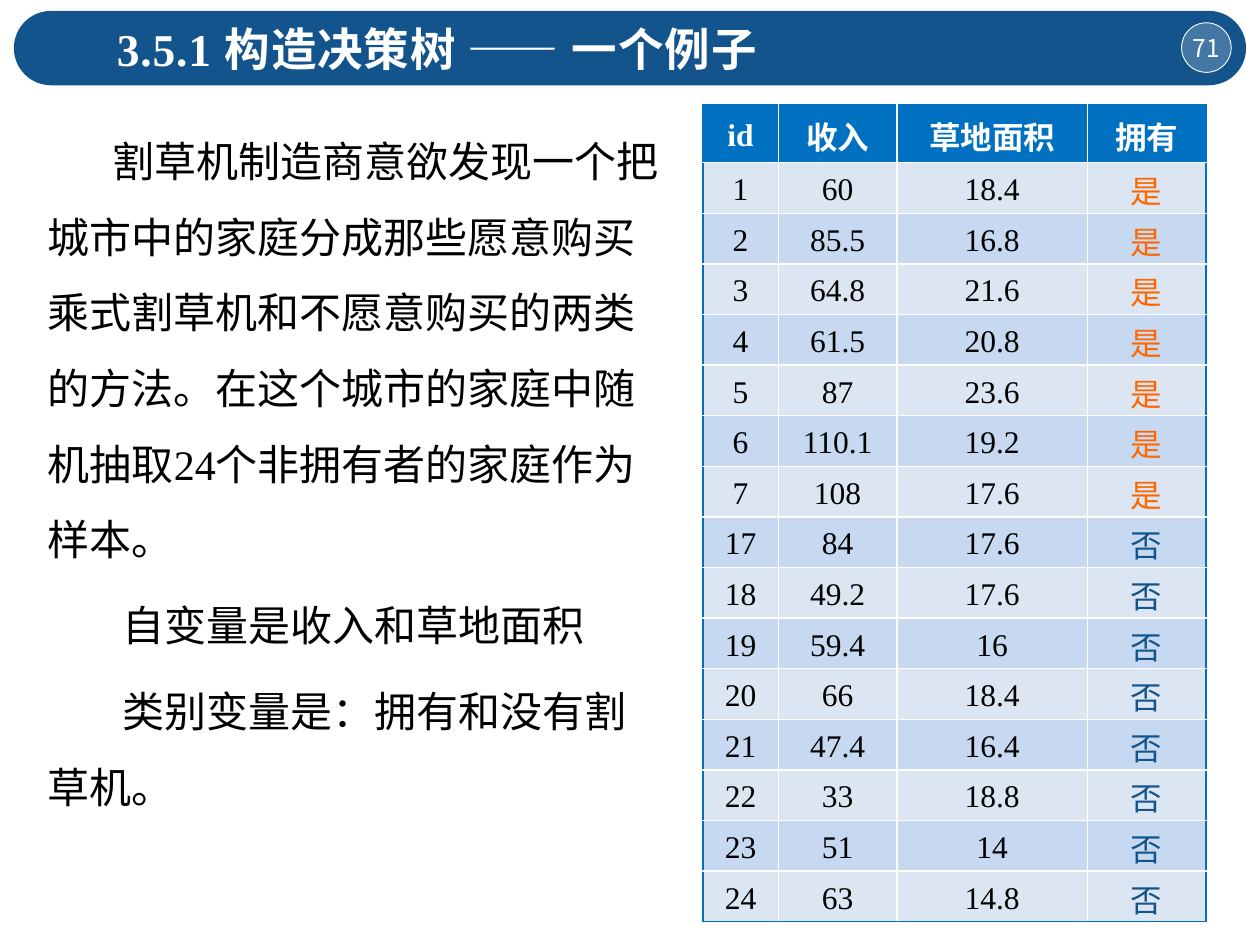
"""Build the decision tree example slide: header bar, problem text and sample table."""
from lxml import etree
from pptx import Presentation
from pptx.dml.color import RGBColor
from pptx.enum.shapes import MSO_SHAPE
from pptx.enum.text import MSO_ANCHOR, MSO_AUTO_SIZE, PP_ALIGN
from pptx.oxml.ns import qn
from pptx.util import Cm, Pt

BAR, DISC = MSO_SHAPE.ROUNDED_RECTANGLE, MSO_SHAPE.OVAL
TOP, MIDDLE = MSO_ANCHOR.TOP, MSO_ANCHOR.MIDDLE
LEFT, CENTER = PP_ALIGN.LEFT, PP_ALIGN.CENTER
FIXED = MSO_AUTO_SIZE.NONE

TITLE = "3.5.1 构造决策树 —— 一个例子"
PAGE = "71"
BODY = [
    (1.31, "割草机制造商意欲发现一个把城市中的家庭分成那些愿意购买乘式割草机和不愿意购买的两类的方法。"
           "在这个城市的家庭中随机抽取24个非拥有者的家庭作为样本。"),
    (1.5, "自变量是收入和草地面积"),
    (1.5, "类别变量是：拥有和没有割草机。"),
]
HEADER = ("id", "收入", "草地面积", "拥有")
SAMPLES = [
    ("1", "60", "18.4", "是"), ("2", "85.5", "16.8", "是"), ("3", "64.8", "21.6", "是"),
    ("4", "61.5", "20.8", "是"), ("5", "87", "23.6", "是"), ("6", "110.1", "19.2", "是"),
    ("7", "108", "17.6", "是"), ("17", "84", "17.6", "否"), ("18", "49.2", "17.6", "否"),
    ("19", "59.4", "16", "否"), ("20", "66", "18.4", "否"), ("21", "47.4", "16.4", "否"),
    ("22", "33", "18.8", "否"), ("23", "51", "14", "否"), ("24", "63", "14.8", "否"),
]
COL_WIDTHS = (1.52, 2.39, 3.84, 2.39)
HEAD_HEIGHT, ROW_HEIGHT = 1.17, 1.02
CELL_MARGINS = {"margin_top": Cm(0.08), "margin_bottom": 0}

THEME = {
    "navy": "13548C", "blue": "0070C0", "white": "FFFFFF", "black": "000000",
    "是": "FF6600", "否": "13548C", "bands": ("C6D9F1", "DCE6F2"),
    "title": {"name": "Times New Roman", "size": Pt(26), "bold": True},
    "body": {"name": "Times New Roman", "size": Pt(24), "bold": False},
    "head": {"name": "Times New Roman", "size": Pt(18), "bold": True},
    "cell": {"name": "Times New Roman", "size": Pt(18), "bold": False},
    "page": {"name": "Noto Sans CJK SC", "size": Pt(14), "bold": False},
}


def rgb(name):
    return RGBColor.from_string(THEME.get(name, name))


def write(p, text, style, color):
    r = p.add_run()
    r.text = text
    set_format(r.font, **THEME[style])
    r.font.color.rgb = rgb(color)
    return r


def place(sp, left, top, width, height):
    sp.left, sp.top, sp.width, sp.height = Cm(left), Cm(top), Cm(width), Cm(height)


def set_format(target, **values):
    for key, value in values.items():
        setattr(target, key, value)


def add_plain(s, kind, box, fill):
    sp = s.shapes.add_shape(kind, *map(Cm, box))
    sp.shadow.inherit = False
    sp.fill.solid()
    sp.fill.fore_color.rgb = rgb(fill)
    return sp


def add_header(s):
    bar = add_plain(s, BAR, (0.28, 0.22, 24.84, 1.5), "navy")
    bar.adjustments[0] = 0.5
    bar.line.fill.background()

    disc = add_plain(s, DISC, (23.82, 0.46, 1, 1), "white")
    color = disc.fill._xPr.find(qn("a:solidFill"))[0]
    etree.SubElement(color, qn("a:alpha"), val="21000")
    disc.line.color.rgb = rgb("white")
    disc.line.width = Pt(0.5)
    tf = disc.text_frame
    set_format(tf, margin_left=0, margin_top=0, margin_right=0, margin_bottom=0,
               vertical_anchor=MIDDLE, word_wrap=False)
    tf.paragraphs[0].alignment = CENTER
    write(tf.paragraphs[0], PAGE, "page", "white")

    title = s.shapes.title
    title.element.addprevious(bar.element)
    place(title, 2.1, 0.3, 14.84, 1.37)
    tf = title.text_frame
    set_format(tf, vertical_anchor=TOP, auto_size=FIXED, word_wrap=True)
    tf.paragraphs[0].alignment = LEFT
    r = write(tf.paragraphs[0], TITLE, "title", "white")
    r.font._element.set("spc", "50")


def add_body(s):
    body = s.placeholders[1]
    place(body, 0.71, 2.1, 12.9, 14.35)
    tf = body.text_frame
    set_format(tf, vertical_anchor=TOP, auto_size=FIXED, word_wrap=True)
    for i, (indent, text) in enumerate(BODY):
        p = tf.add_paragraph() if i else tf.paragraphs[0]
        pPr = p._p.get_or_add_pPr()
        pPr.set("marL", "0")
        pPr.set("indent", str(Cm(indent)))
        etree.SubElement(pPr, qn("a:buNone"))
        p.line_spacing = 1.5
        p.space_before = Pt(6 if i else 0)
        write(p, text, "body", "black")


def set_border(cell, side, color):
    ln = etree.SubElement(cell._tc.get_or_add_tcPr(), qn(f"a:ln{side}"), w=str(Pt(1)))
    fill = etree.SubElement(ln, qn("a:solidFill"))
    etree.SubElement(fill, qn("a:srgbClr"), val=THEME[color])


def add_samples(s):
    rows = [HEADER, *SAMPLES]
    last_row, last_col = len(rows) - 1, len(HEADER) - 1
    height = HEAD_HEIGHT + ROW_HEIGHT * last_row
    box = (14.17, 2.11, sum(COL_WIDTHS), height)
    table = s.shapes.add_table(len(rows), len(HEADER), *map(Cm, box)).table
    for col, width in zip(table.columns, COL_WIDTHS):
        col.width = Cm(width)
    for i, values in enumerate(rows):
        table.rows[i].height = Cm(ROW_HEIGHT if i else HEAD_HEIGHT)
        for j, text in enumerate(values):
            cell = table.cell(i, j)
            outer = {"L": j == 0, "R": j == last_col, "T": i == 0, "B": i == last_row}
            for side, is_outer in outer.items():
                set_border(cell, side, "blue" if is_outer else "white")
            cell.fill.solid()
            cell.fill.fore_color.rgb = rgb(THEME["bands"][i % 2] if i else "blue")
            set_format(cell, vertical_anchor=MIDDLE, **CELL_MARGINS)
            p = cell.text_frame.paragraphs[0]
            p.alignment = CENTER
            if i:
                write(p, text, "cell", text if text in ("是", "否") else "black")
            else:
                write(p, text, "head", "white")


def main():
    prs = Presentation()
    prs.slide_width, prs.slide_height = Cm(25.4), Cm(19.05)
    s = prs.slides.add_slide(prs.slide_layouts[1])
    add_header(s)
    add_body(s)
    add_samples(s)
    prs.save("out.pptx")


if __name__ == "__main__":
    main()
